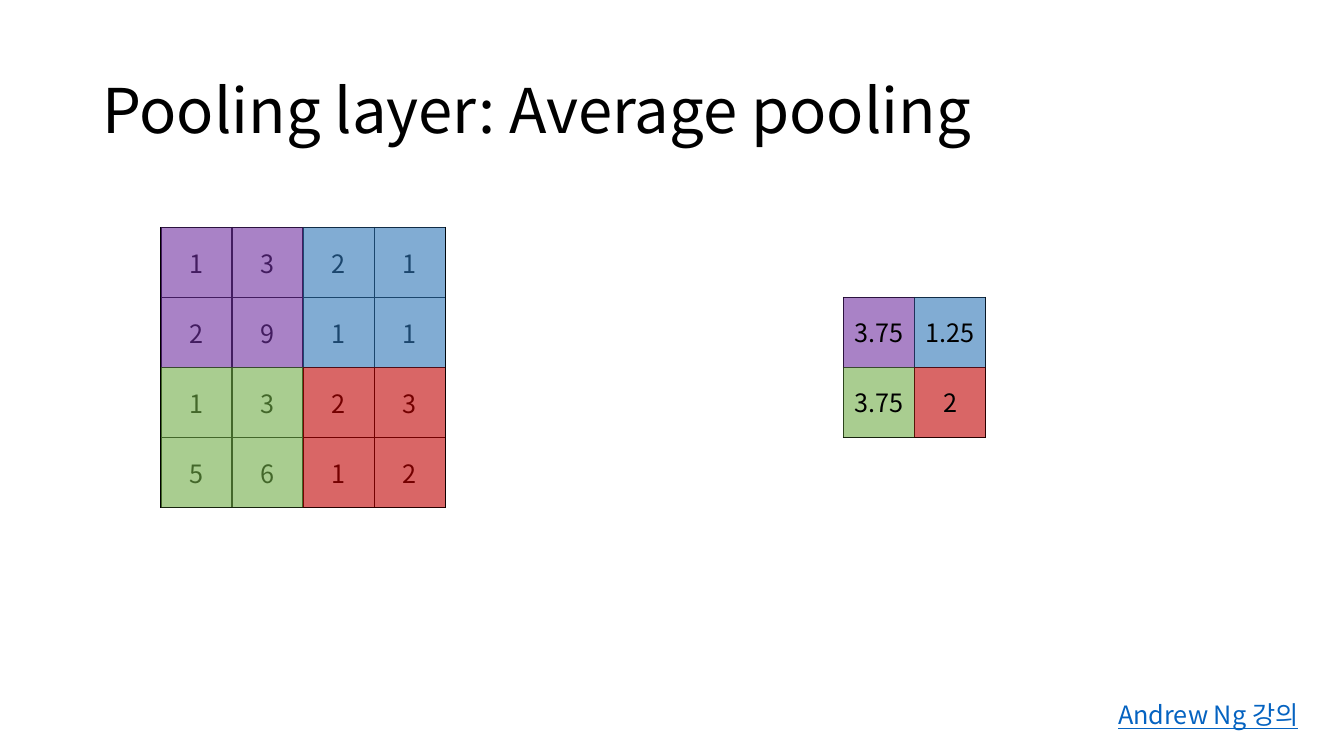
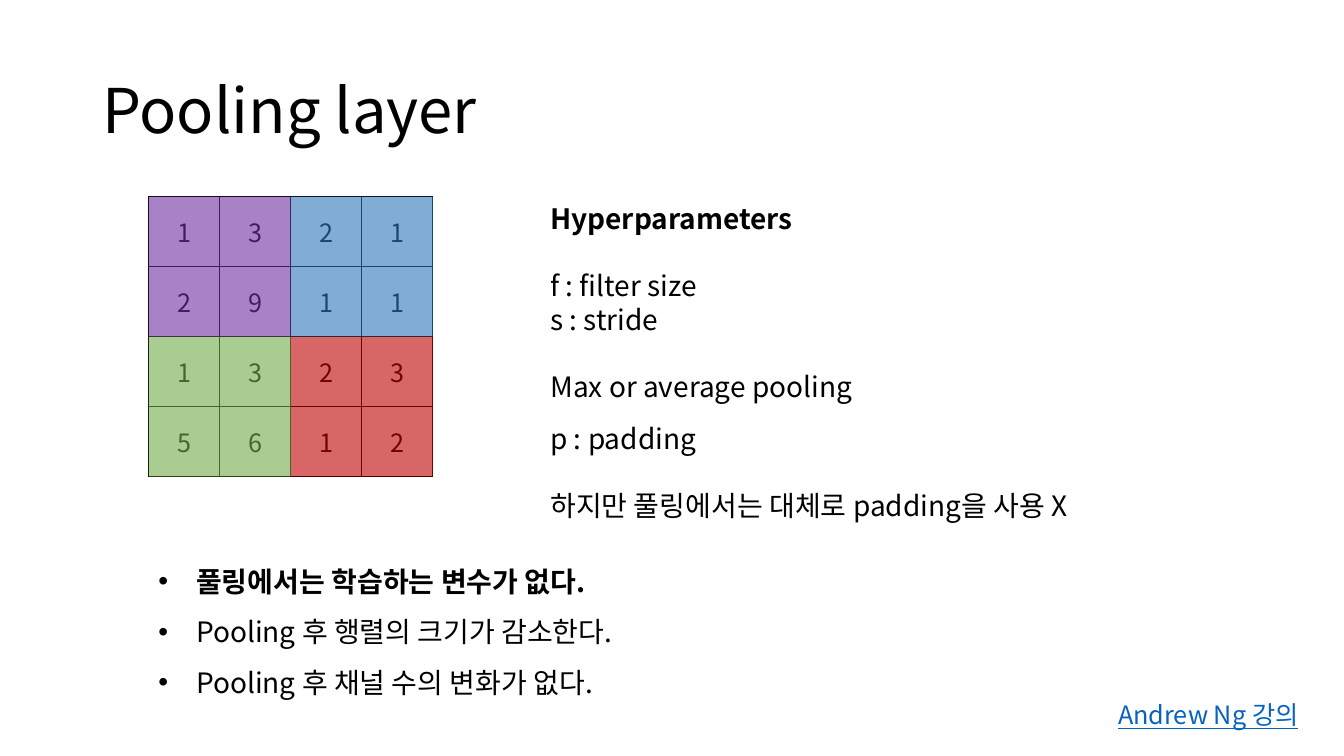
"""Build two slides about pooling layers."""
import pptx
import pptx.dml.color
import pptx.enum.shapes
import pptx.enum.text
import pptx.oxml.ns
import pptx.util
from lxml import etree

Pt = pptx.util.Pt
ALIGN = pptx.enum.text.PP_ALIGN
MIDDLE = pptx.enum.text.MSO_ANCHOR.MIDDLE
TOP = pptx.enum.text.MSO_ANCHOR.TOP
FONT = "Noto Sans CJK KR"
COLORS = {
    "text": "000000",
    "link": "0563C1",
    "purple": "7030A0",
    "blue": "2E75B6",
    "green": "70AD47",
    "red": "C00000",
}
QUADRANTS = [["purple", "blue"], ["green", "red"]]
CELL_WIDTH, CELL_HEIGHT = 50.75, 50

INPUT = [[1, 3, 2, 1], [2, 9, 1, 1], [1, 3, 2, 3], [5, 6, 1, 2]]
EMPTY = [["", ""], ["", ""]]
AVERAGES = [["3.75", "1.25"], ["3.75", "2"]]
FOOTER = "Andrew Ng 강의"
SLIDES = [
    {
        "title": "Pooling layer: Average pooling",
        "grids": [(115, 162.5, INPUT, EMPTY), (602.5, 212.5, EMPTY, AVERAGES)],
        "texts": [],
    },
    {
        "title": "Pooling layer",
        "grids": [(106.25, 140.5, INPUT, EMPTY)],
        "texts": [
            {"at": (386, 140.5, 410, 152.5), "lines": [
                {"text": "Hyperparameters", "bold": True},
                {"text": "f : filter size", "before": 24},
                {"text": "s : stride"},
                {"text": "Max or average pooling", "before": 24},
            ]},
            {"at": (386, 297.5, 428, 80), "lines": [
                {"text": "p : padding"},
                {"text": "하지만 풀링에서는 대체로 padding을 사용 X", "before": 24},
            ]},
            {"at": (106, 387.5, 723, 116.5), "lines": [
                {"text": "풀링에서는 학습하는 변수가 없다.", "bold": True, "bullet": True},
                {"text": "Pooling 후 행렬의 크기가 감소한다.", "bullet": True},
                {"text": "Pooling 후 채널 수의 변화가 없다.", "bullet": True},
            ]},
        ],
    },
]


def rgb(name):
    return pptx.dml.color.RGBColor.from_string(COLORS[name])


def add_element(parent, tag, **attributes):
    return etree.SubElement(parent, pptx.oxml.ns.qn(tag), attributes)


def add_span(para, text, size, color="text", bold=False, underline=False):
    span = para.add_run()
    span.text = str(text)
    span.font.size = Pt(size)
    span.font.bold = bold
    span.font.underline = underline
    span.font.color.rgb = rgb(color)
    span.font.name = FONT
    add_element(span.font._element, "a:ea", typeface=FONT)


def add_box(slide, at, anchor=TOP):
    frame = slide.shapes.add_textbox(*map(Pt, at)).text_frame
    frame.word_wrap = True
    frame.vertical_anchor = anchor
    return frame


def add_title(slide, text):
    para = add_box(slide, (66, 29, 828, 104.5), MIDDLE).paragraphs[0]
    para.line_spacing = 0.9
    add_span(para, text, 44)


def add_footer(slide):
    para = add_box(slide, (469.5, 496, 465, 29)).paragraphs[0]
    para.alignment = ALIGN.RIGHT
    add_span(para, FOOTER, 18, "link", underline=True)


def add_lines(slide, at, lines):
    frame = add_box(slide, at)
    for index, line in enumerate(lines):
        para = frame.add_paragraph() if index else frame.paragraphs[0]
        bullet = line.get("bullet", False)
        para.line_spacing = Pt(36 if bullet else 24)
        para.space_before = Pt(line.get("before", 0))
        if bullet:
            properties = para._p.get_or_add_pPr()
            properties.set("marL", str(Pt(27)))
            properties.set("indent", str(-Pt(27)))
            add_element(properties, "a:buFont", typeface="Arial")
            add_element(properties, "a:buChar", char="•")
        add_span(para, line["text"], 20, bold=line.get("bold", False))


def style_cell(cell, value):
    properties = cell._tc.get_or_add_tcPr()
    for side in ("a:lnL", "a:lnR", "a:lnT", "a:lnB"):
        border = add_element(properties, side, w=str(Pt(1)))
        fill = add_element(border, "a:solidFill")
        add_element(fill, "a:srgbClr", val=COLORS["text"])
    cell.fill.background()
    cell.vertical_anchor = MIDDLE
    para = cell.text_frame.paragraphs[0]
    para.alignment = ALIGN.CENTER
    if value != "":
        add_span(para, value, 18)


def add_grid(slide, left, top, values, labels):
    count = len(values)
    width, height = count * CELL_WIDTH, count * CELL_HEIGHT
    table = slide.shapes.add_table(
        count, count, Pt(left), Pt(top), Pt(width), Pt(height)).table
    table.first_row = table.horz_banding = False
    for row, row_values in enumerate(values):
        table.rows[row].height = Pt(CELL_HEIGHT)
        table.columns[row].width = Pt(CELL_WIDTH)
        for column, value in enumerate(row_values):
            style_cell(table.cell(row, column), value)

    overlay = slide.shapes.add_group_shape()
    for row, colors in enumerate(QUADRANTS):
        for column, color in enumerate(colors):
            tile = overlay.shapes.add_shape(
                pptx.enum.shapes.MSO_SHAPE.RECTANGLE,
                Pt(left + column * width / 2), Pt(top + row * height / 2),
                Pt(width / 2), Pt(height / 2))
            tile.shadow.inherit = False
            tile.line.fill.background()
            tile.fill.solid()
            tile.fill.fore_color.rgb = rgb(color)
            shade = tile._element.spPr.find(".//" + pptx.oxml.ns.qn("a:srgbClr"))
            add_element(shade, "a:alpha", val="60000")
            if labels[row][column]:
                frame = tile.text_frame
                frame.margin_left = frame.margin_right = 0
                frame.vertical_anchor = MIDDLE
                para = frame.paragraphs[0]
                para.alignment = ALIGN.CENTER
                add_span(para, labels[row][column], 18)


def main():
    deck = pptx.Presentation()
    deck.slide_width, deck.slide_height = Pt(960), Pt(540)
    for page in SLIDES:
        slide = deck.slides.add_slide(deck.slide_layouts[6])
        add_title(slide, page["title"])
        for grid in page["grids"]:
            add_grid(slide, *grid)
        for block in page["texts"]:
            add_lines(slide, block["at"], block["lines"])
        add_footer(slide)
    deck.save("out.pptx")


if __name__ == "__main__":
    main()
